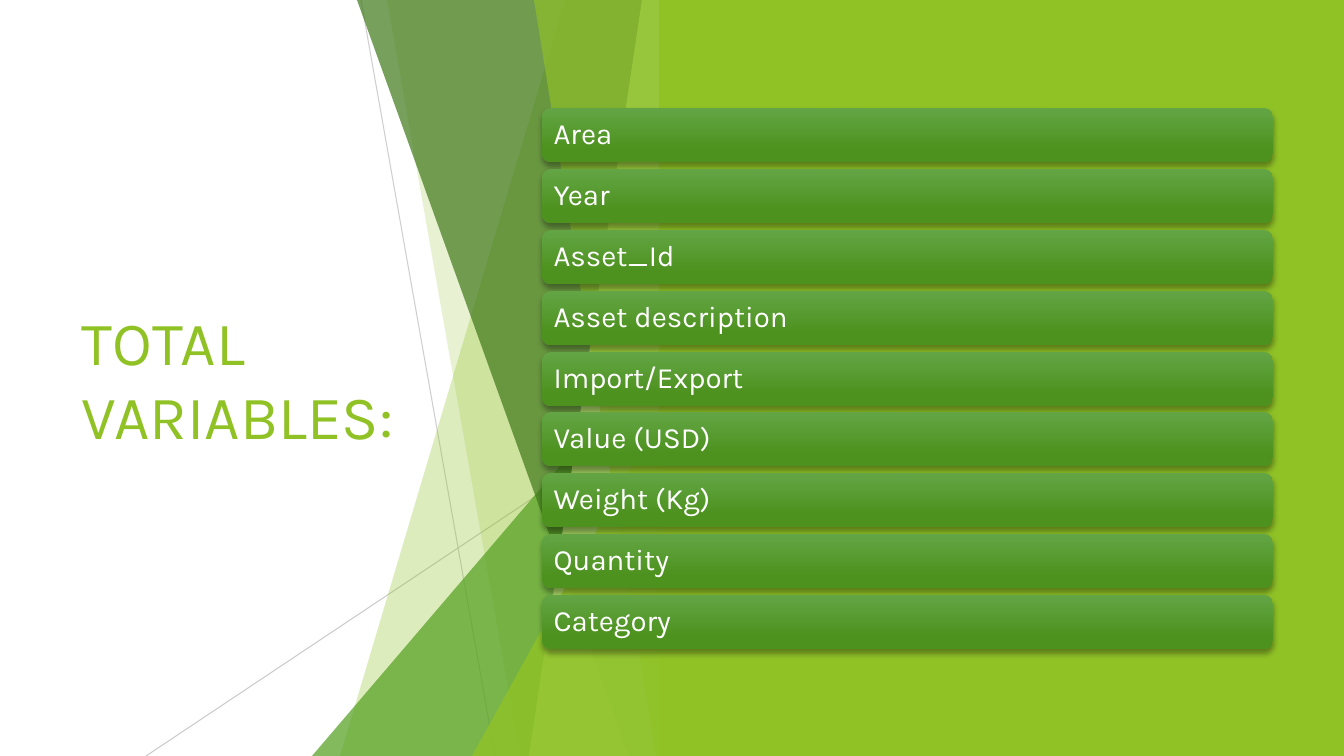
from dataclasses import dataclass

from lxml import etree
from pptx import Presentation
from pptx import util as u
from pptx.dml.color import RGBColor
from pptx.enum import shapes, text
from pptx.oxml.ns import qn

SCALE = 12192000 / 1344
PAGE_WIDTH, PAGE_HEIGHT = 1344, 756
FACET_RIGHT = 671
PANEL_LEFT = 659

BAR_LEFT, BAR_WIDTH, BAR_HEIGHT = 542, 731, 54
FIRST_BAR_TOP, LAST_BAR_TOP = 108, 595

FONT = "Karla"
WHITE = RGBColor(0xFF, 0xFF, 0xFF)
GREY = RGBColor(0xBF, 0xBF, 0xBF)
LIME = RGBColor(0x90, 0xC2, 0x26)
PALE_LIME = RGBColor(0xC0, 0xE4, 0x74)
GREEN = RGBColor(0x54, 0xA0, 0x21)
DARK_GREEN = RGBColor(0x3F, 0x78, 0x19)
BAR_LIGHT = RGBColor(0x63, 0xA5, 0x45)
BAR_DARK = RGBColor(0x4D, 0x92, 0x1E)


@dataclass(frozen=True)
class Ray:
    start_x: int
    start_y: int
    end_x: int
    opacity: int


@dataclass(frozen=True)
class Facet:
    top_x: int
    bottom_x: int
    color: RGBColor
    opacity: int


@dataclass(frozen=True)
class Corner:
    left: int
    top: int
    color: RGBColor
    opacity: int


RAYS = [Ray(361, 0, 495, 75), Ray(671, 406, 146, 80)]
FACETS = [
    Facet(565, 340, LIME, 30),
    Facet(387, 520, LIME, 20),
    Corner(312, 336, GREEN, 72),
    Facet(357, 629, DARK_GREEN, 70),
    Facet(642, 529, PALE_LIME, 70),
    Facet(534, 656, LIME, 65),
    Corner(472, 396, LIME, 80),
]
VARIABLES = [
    "Area", "Year", "Asset_Id", "Asset description", "Import/Export",
    "Value (USD)", "Weight (Kg)", "Quantity", "Category",
]


def px(length: float) -> u.Emu:
    return u.Emu(round(length * SCALE))


def set_opacity(shape, percent: int) -> None:
    for color in shape.element.spPr.xpath(".//a:srgbClr"):
        etree.SubElement(color, qn("a:alpha"), val=str(percent * 1000))


def paint(shape, color: RGBColor) -> None:
    shape.shadow.inherit = False
    shape.fill.solid()
    shape.fill.fore_color.rgb = color
    shape.line.fill.background()


def add_preset(page, kind, left: int, top: int, width: int, height: int):
    return page.shapes.add_shape(kind, px(left), px(top), px(width), px(height))


def write(box, wording: str, size: int, color: RGBColor) -> None:
    frame = box.text_frame
    frame.word_wrap = True
    frame.vertical_anchor = text.MSO_ANCHOR.MIDDLE
    para = frame.paragraphs[0]
    para.text = wording
    para.alignment = text.PP_ALIGN.LEFT
    para.font.name = FONT
    para.font.size = u.Pt(size)
    para.font.color.rgb = color


def draw_title(page) -> None:
    box = page.shapes.add_textbox(px(72), px(152), px(391), px(452))
    write(box, "TOTAL VARIABLES:", 44, LIME)


def draw_ray(page, ray: Ray) -> None:
    line = page.shapes.add_connector(
        shapes.MSO_CONNECTOR.STRAIGHT,
        px(ray.start_x), px(ray.start_y), px(ray.end_x), px(PAGE_HEIGHT),
    )
    line.line.color.rgb = GREY
    line.line.width = u.Pt(0.75)
    set_opacity(line, ray.opacity)
    etree.SubElement(line.element.spPr, qn("a:effectLst"))


def draw_facet(page, facet: Facet | Corner) -> None:
    if isinstance(facet, Corner):
        shape = add_preset(
            page, shapes.MSO_SHAPE.ISOSCELES_TRIANGLE, facet.left, facet.top,
            FACET_RIGHT - facet.left, PAGE_HEIGHT - facet.top,
        )
        shape.adjustments[0] = 1
    else:
        outline = page.shapes.build_freeform(facet.top_x, 0, scale=SCALE)
        outline.add_line_segments([
            (FACET_RIGHT, 0), (FACET_RIGHT, PAGE_HEIGHT), (facet.bottom_x, PAGE_HEIGHT),
        ])
        shape = outline.convert_to_shape()
    paint(shape, facet.color)
    set_opacity(shape, facet.opacity)


def add_soft_shadow(shape) -> None:
    shape.shadow.inherit = False
    effects = shape.element.spPr.find(qn("a:effectLst"))
    shadow = etree.SubElement(
        effects, qn("a:outerShdw"), blurRad=str(u.Pt(4)), dist=str(u.Pt(3)),
        dir="5400000", rotWithShape="0",
    )
    color = etree.SubElement(shadow, qn("a:srgbClr"), val="000000")
    etree.SubElement(color, qn("a:alpha"), val="35000")


def draw_bar(page, wording: str, top: int) -> None:
    bar = add_preset(
        page, shapes.MSO_SHAPE.ROUNDED_RECTANGLE, BAR_LEFT, top, BAR_WIDTH, BAR_HEIGHT
    )
    bar.fill.gradient()
    bar.fill.gradient_angle = 270
    for stop, position, color in zip(
        bar.fill.gradient_stops, (0, 0.78), (BAR_LIGHT, BAR_DARK)
    ):
        stop.position = position
        stop.color.rgb = color
    bar.line.fill.background()
    add_soft_shadow(bar)
    frame = bar.text_frame
    frame.margin_left = frame.margin_right = px(9)
    frame.margin_top = frame.margin_bottom = 0
    write(bar, wording, 21, WHITE)
    frame.paragraphs[0].line_spacing = 0.9


def main() -> None:
    deck = Presentation()
    deck.slide_width, deck.slide_height = px(PAGE_WIDTH), px(PAGE_HEIGHT)
    page = deck.slides.add_slide(deck.slide_layouts[6])
    page.background.fill.solid()
    page.background.fill.fore_color.rgb = WHITE

    draw_title(page)
    for ray in RAYS:
        draw_ray(page, ray)
    for facet in FACETS:
        draw_facet(page, facet)
    panel = add_preset(
        page, shapes.MSO_SHAPE.RECTANGLE, PANEL_LEFT, 0, PAGE_WIDTH - PANEL_LEFT, PAGE_HEIGHT
    )
    paint(panel, LIME)

    pitch = (LAST_BAR_TOP - FIRST_BAR_TOP) / (len(VARIABLES) - 1)
    for index, variable in enumerate(VARIABLES):
        draw_bar(page, variable, round(FIRST_BAR_TOP + index * pitch))
    deck.save("out.pptx")


main()
